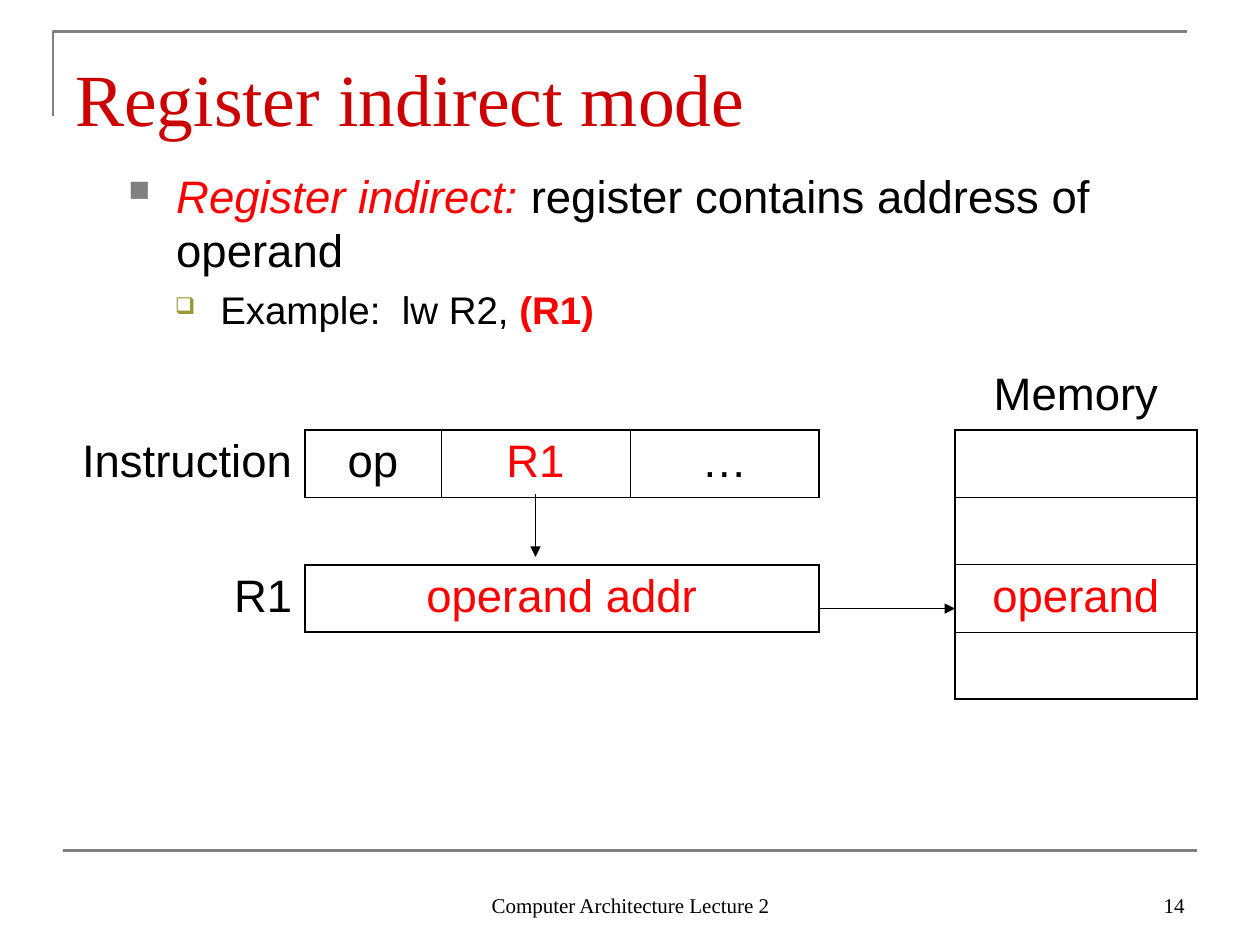
from dataclasses import dataclass

import pptx
import pptx.dml.color
import pptx.enum.shapes
import pptx.enum.text
import pptx.oxml
import pptx.oxml.ns
import pptx.util
from lxml import etree

Inches = pptx.util.Inches
Pt = pptx.util.Pt
Align = pptx.enum.text.PP_ALIGN
Anchor = pptx.enum.text.MSO_ANCHOR
qn = pptx.oxml.ns.qn


@dataclass(frozen=True)
class Theme:
    title: str = "CC0000"
    accent: str = "FF0000"
    ink: str = "000000"
    rule: str = "808080"
    sub_bullet: str = "999933"
    serif: str = "Times New Roman"
    sans: str = "Arial"
    title_size: float = 42
    body_size: float = 26
    example_size: float = 22
    footer_size: float = 12
    rule_width: float = 1.5
    arrow_width: float = 0.75
    outer_border: float = 1.08
    inner_border: float = 0.45


THEME = Theme()
NO_GRID_STYLE = "{2D5ABB26-0587-4C30-8999-92F81FD0307C}"


def rgb(color):
    return pptx.dml.color.RGBColor.from_string(color)


def style_font(font, size, name, color):
    font.size, font.name = Pt(size), name
    font.color.rgb = rgb(color)


def add_text_box(slide, box, anchor):
    frame = slide.shapes.add_textbox(*map(Inches, box)).text_frame
    frame.word_wrap = True
    frame.vertical_anchor = anchor
    return frame


def add_line(slide, start, end, color, width, arrow=False):
    connector = slide.shapes.add_connector(
        pptx.enum.shapes.MSO_CONNECTOR.STRAIGHT, *map(Inches, (*start, *end)))
    connector.line.color.rgb = rgb(color)
    connector.line.width = Pt(width)
    properties = connector._element.spPr
    if arrow:
        etree.SubElement(properties.find(qn("a:ln")), qn("a:tailEnd"), type="triangle")
    etree.SubElement(properties, qn("a:effectLst"))


def add_frame_rules(slide, box):
    left, top, width, height = box
    builder = slide.shapes.build_freeform(Inches(left), Inches(top + 0.67))
    builder.add_line_segments(
        [(Inches(left), Inches(top)), (Inches(left + width), Inches(top))], close=False)
    corner = builder.convert_to_shape()
    corner.shadow.inherit = False
    corner.fill.background()
    corner.line.color.rgb = rgb(THEME.rule)
    corner.line.width = Pt(THEME.rule_width)
    bottom = top + height
    add_line(slide, (left + 0.08, bottom), (left + width + 0.08, bottom),
             THEME.rule, THEME.rule_width)


def add_footer(slide, box):
    left, top, width, height = box
    for text, offset, part_width, alignment in (
            ("Computer Architecture Lecture 2", 0, 3.17, Align.CENTER),
            ("14", width - 2.33, 2.33, Align.RIGHT)):
        frame = add_text_box(slide, (left + offset, top, part_width, height), Anchor.BOTTOM)
        paragraph = frame.paragraphs[0]
        paragraph.text = text
        paragraph.alignment = alignment
        style_font(paragraph.font, THEME.footer_size, THEME.serif, THEME.ink)


def add_title(slide, box):
    frame = add_text_box(slide, box, Anchor.TOP)
    frame.margin_top = Inches(0.12)
    paragraph = frame.paragraphs[0]
    paragraph.text = "Register indirect mode"
    style_font(paragraph.font, THEME.title_size, THEME.serif, THEME.title)


def add_bullet(paragraph, character, color, percent, indent, hanging):
    properties = paragraph._p.get_or_add_pPr()
    properties.set("marL", str(Inches(indent)))
    properties.set("indent", str(-Inches(hanging)))
    bullet_color = etree.SubElement(properties, qn("a:buClr"))
    etree.SubElement(bullet_color, qn("a:srgbClr"), val=color)
    etree.SubElement(properties, qn("a:buSzPct"), val=str(percent * 1000))
    etree.SubElement(properties, qn("a:buChar"), char=character)


def add_body(slide, box):
    frame = add_text_box(slide, box, Anchor.TOP)
    frame.margin_top = Inches(0.08)

    definition = frame.paragraphs[0]
    add_bullet(definition, "■", THEME.rule, 65, 0.38, 0.38)
    style_font(definition.font, THEME.body_size, THEME.sans, THEME.ink)
    term = definition.add_run()
    term.text = "Register indirect: "
    term.font.italic = True
    term.font.color.rgb = rgb(THEME.accent)
    definition.add_run().text = "register contains address of operand"

    example = frame.add_paragraph()
    example.level = 1
    example.space_before = Pt(5.5)
    add_bullet(example, "❑", THEME.sub_bullet, 60, 0.73, 0.36)
    style_font(example.font, THEME.example_size, THEME.sans, THEME.ink)
    example.add_run().text = "Example:  lw R2, "
    operand = example.add_run()
    operand.text = "(R1)"
    operand.font.bold = True
    operand.font.color.rgb = rgb(THEME.accent)


def block_at(row, column):
    if column == 5 and 1 <= row <= 4:
        return "memory"
    if 1 <= column <= 3:
        return {1: "instruction", 3: "address"}.get(row)
    return None


def border_width(block, neighbour):
    if block != neighbour:
        return THEME.outer_border
    return THEME.inner_border if block in ("memory", "instruction") else 0


def set_borders(cell, row, column):
    properties = cell._tc.get_or_add_tcPr()
    span = cell.span_width if cell.is_merge_origin else 1
    neighbours = {"a:lnL": (row, column - 1), "a:lnR": (row, column + span),
                  "a:lnT": (row - 1, column), "a:lnB": (row + 1, column)}
    for tag, position in neighbours.items():
        width = border_width(block_at(row, column), block_at(*position))
        if width:
            line = etree.SubElement(properties, qn(tag), w=str(Pt(width)))
            fill = etree.SubElement(line, qn("a:solidFill"))
            etree.SubElement(fill, qn("a:srgbClr"), val=THEME.ink)


def add_addressing_table(slide, box):
    widths = (1.92, 1.08, 1.5, 1.5, 1.08, 1.92)
    row_count = 5
    table_frame = slide.shapes.add_table(row_count, len(widths), *map(Inches, box))
    table = table_frame.table
    table.first_row = table.horz_banding = False
    table_frame._element.find(".//" + qn("a:tableStyleId")).text = NO_GRID_STYLE
    for column, width in zip(table.columns, widths):
        column.width = Inches(width)
    table.cell(3, 1).merge(table.cell(3, 3))

    labels = {(0, 5): "Memory", (1, 0): "Instruction", (1, 1): "op", (1, 2): "R1",
              (1, 3): "…", (3, 0): "R1", (3, 1): "operand addr", (3, 5): "operand"}
    highlighted = {(1, 2), (3, 1), (3, 5)}
    for row in range(row_count):
        for column in range(len(widths)):
            cell = table.cell(row, column)
            set_borders(cell, row, column)
            cell.fill.background()
            position = (row, column)
            if position in labels:
                paragraph = cell.text_frame.paragraphs[0]
                paragraph.text = labels[position]
                paragraph.alignment = Align.RIGHT if column == 0 else Align.CENTER
                color = THEME.accent if position in highlighted else THEME.ink
                style_font(paragraph.font, THEME.body_size, THEME.sans, color)


def add_addressing_diagram(slide, box):
    left, top, width, height = box
    add_addressing_table(slide, box)
    for start, end in (((3.75, 1.04), (3.75, 1.54)), ((6, 1.95), (7.08, 1.95))):
        add_line(slide, (left + start[0], top + start[1]), (left + end[0], top + end[1]),
                 THEME.ink, THEME.arrow_width, arrow=True)


def main():
    presentation = pptx.Presentation()
    presentation.slide_width, presentation.slide_height = Inches(10), Inches(7.5)
    slide = presentation.slides.add_slide(presentation.slide_layouts[6])
    add_frame_rules(slide, (0.42, 0.25, 9, 6.5))
    add_footer(slide, (3.42, 6.83, 6.08, 0.5))
    add_title(slide, (0.5, 0.3, 9, 0.78))
    add_body(slide, (0.92, 1.25, 8.58, 2.64))
    add_addressing_diagram(slide, (0.5, 2.88, 9, 2.67))
    presentation.save("out.pptx")


if __name__ == "__main__":
    main()
